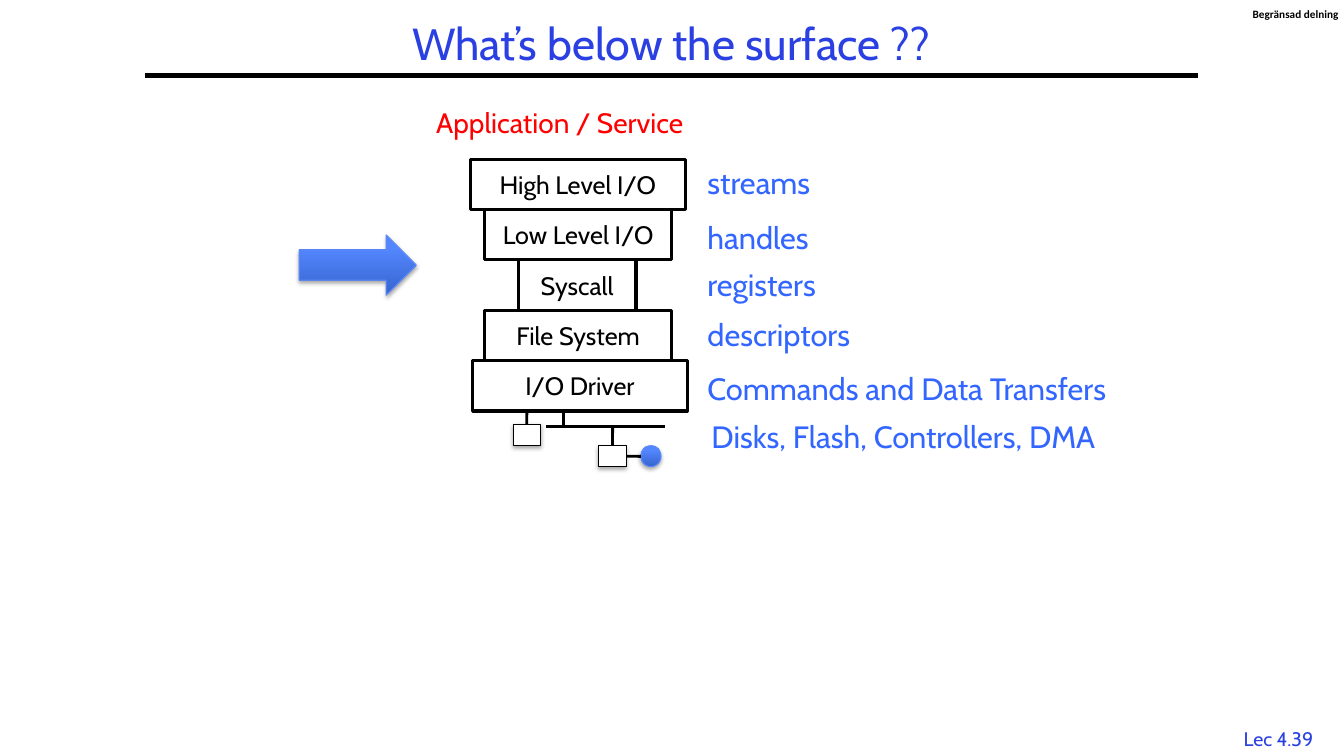
from lxml.etree import SubElement
from pptx import Presentation
from pptx.dml.color import RGBColor
from pptx.enum.shapes import MSO_CONNECTOR, MSO_SHAPE
from pptx.enum.text import MSO_ANCHOR, MSO_AUTO_SIZE, PP_ALIGN
from pptx.oxml.ns import qn
from pptx.util import Cm, Pt

COLORS = {
    "title": "2A40E2",
    "application": "FF0000",
    "note": "3366FF",
    "black": "000000",
    "white": "FFFFFF",
    "gradient_dark": "3764CE",
    "gradient_light": "5487FF",
    "accent_line": "5B8AFB",
}
LAYER_TOP, LAYER_HEIGHT = 4.01, 1.27
LAYERS = [
    ("High Level I/O", 11.86, 5.41),
    ("Low Level I/O", 12.22, 4.7),
    ("Syscall", 13.06, 2.97),
    ("File System", 12.22, 4.7),
    ("I/O Driver", 11.91, 5.41),
]
NOTES = [
    ("streams", 17.58, 4.01, 3.3),
    ("handles", 17.58, 5.38, 3.25),
    ("registers", 17.58, 6.58, 3.53),
    ("descriptors", 17.58, 7.82, 4.34),
    ("Commands and Data Transfers", 17.58, 9.19, 11.43),
    ("Disks, Flash, Controllers, DMA", 17.68, 10.39, 11.2),
]


def rgb(name):
    """Return the named colour."""
    return RGBColor.from_string(COLORS[name])


def write(frame, text, size, color, align=PP_ALIGN.LEFT, font="Cabin", bold=False):
    """Put one formatted run in the first paragraph of a text frame."""
    paragraph = frame.paragraphs[0]
    paragraph.alignment = align
    run = paragraph.add_run()
    run.text = text
    run.font.name = font
    run.font.size = Pt(size)
    run.font.bold = bold
    run.font.color.rgb = rgb(color)
    return paragraph


def add_label(slide, text, box, size, color, **style):
    """Add a text box that does not wrap."""
    frame = slide.shapes.add_textbox(*map(Cm, box)).text_frame
    frame.word_wrap = False
    frame.auto_size = MSO_AUTO_SIZE.SHAPE_TO_FIT_TEXT
    write(frame, text, size, color, **style)
    return frame


def add_line(slide, start, end, width=2):
    """Add a straight black line without a shadow."""
    line = slide.shapes.add_connector(MSO_CONNECTOR.STRAIGHT, *map(Cm, start + end))
    line.line.color.rgb = rgb("black")
    line.line.width = Pt(width)
    SubElement(line._element.spPr, qn("a:effectLst"))
    return line


def add_box(slide, kind, box, line_color="black", line_width=0.75):
    """Add a white outlined shape without a shadow."""
    shape = slide.shapes.add_shape(kind, *map(Cm, box))
    shape.shadow.inherit = False
    shape.fill.solid()
    shape.fill.fore_color.rgb = rgb("white")
    shape.line.color.rgb = rgb(line_color)
    shape.line.width = Pt(line_width)
    return shape


def add_shadow(shape):
    """Give a shape a soft shadow below it."""
    effects = shape._element.spPr.find(qn("a:effectLst"))
    shadow = SubElement(effects, qn("a:outerShdw"), blurRad=str(Pt(3.1)),
                        dist=str(Pt(1.8)), dir="5400000", rotWithShape="0")
    color = SubElement(shadow, qn("a:srgbClr"), val=COLORS["black"])
    SubElement(color, qn("a:alpha"), val="35000")


def add_device(slide, left, top):
    """Add a small white device box with a shadow."""
    device = add_box(slide, MSO_SHAPE.RECTANGLE, (left, top, 0.69, 0.53))
    add_shadow(device)
    return device


def add_accent(slide, kind, box):
    """Add a blue gradient shape with a shadow."""
    accent = add_box(slide, kind, box, "accent_line")
    accent.fill.gradient()
    accent.fill.gradient_angle = 90
    stops = zip(accent.fill.gradient_stops, (0, 0.8), ("gradient_dark", "gradient_light"))
    for stop, position, color in stops:
        stop.position = position
        stop.color.rgb = rgb(color)
    add_shadow(accent)


def add_layer(slide, text, left, top, width):
    """Add one layer of the I/O stack."""
    layer = add_box(slide, MSO_SHAPE.RECTANGLE, (left, top, width, LAYER_HEIGHT),
                    line_width=2.25)
    layer.text_frame.vertical_anchor = MSO_ANCHOR.MIDDLE
    write(layer.text_frame, text, 18, "black", PP_ALIGN.CENTER)


def add_title(slide, text):
    """Place and format the title with the rule below it."""
    title = slide.shapes.title
    title.left, title.top, title.width, title.height = map(Cm, (3.66, 0.43, 26.52, 1.47))
    frame = title.text_frame
    frame.auto_size = MSO_AUTO_SIZE.NONE
    frame.vertical_anchor = MSO_ANCHOR.MIDDLE
    write(frame, text, 32, "title", PP_ALIGN.CENTER).line_spacing = 0.9
    add_line(slide, (3.66, 1.9), (30.2, 1.9), 3)


def add_hardware(slide):
    """Draw the bus and the devices under the driver."""
    add_line(slide, (13.77, 10.74), (16.76, 10.74))
    add_line(slide, (14.2, 10.24), (14.2, 10.74))
    controller = add_device(slide, 15.09, 11.23)
    add_line(slide, (15.44, 10.74), (15.44, 11.23)).end_connect(controller, 0)
    add_accent(slide, MSO_SHAPE.OVAL, (16.15, 11.23, 0.51, 0.53))
    add_line(slide, (15.78, 11.5), (16.15, 11.5)).begin_connect(controller, 3)
    disk = add_device(slide, 12.93, 10.69)
    add_line(slide, (13.28, 10.19), (13.28, 10.69)).end_connect(disk, 0)


def main():
    """Build the slide and save it."""
    presentation = Presentation()
    presentation.slide_width, presentation.slide_height = Cm(33.87), Cm(19.05)
    slide = presentation.slides.add_slide(presentation.slide_layouts[5])
    add_label(slide, "Lec 4.39", (30.99, 18.19, 2.46, 0.84), 14, "title",
              align=PP_ALIGN.CENTER)
    marking = add_label(slide, "Begränsad delning", (31.57, 0.18, 2.18, 0.33), 8, "black",
                        font="Calibri", bold=True)
    marking.margin_left = marking.margin_top = marking.margin_right = marking.margin_bottom = 0
    add_title(slide, "What’s below the surface ??")
    add_label(slide, "Application / Service", (10.74, 2.54, 6.96, 1.12), 20, "application")
    add_accent(slide, MSO_SHAPE.RIGHT_ARROW, (7.54, 5.92, 2.95, 1.52))
    add_hardware(slide)
    for index, (text, left, width) in reversed(list(enumerate(LAYERS))):
        add_layer(slide, text, left, LAYER_TOP + index * LAYER_HEIGHT, width)
    for text, left, top, width in NOTES:
        add_label(slide, text, (left, top, width, 1.19), 22, "note")
    presentation.save("out.pptx")


if __name__ == "__main__":
    main()
